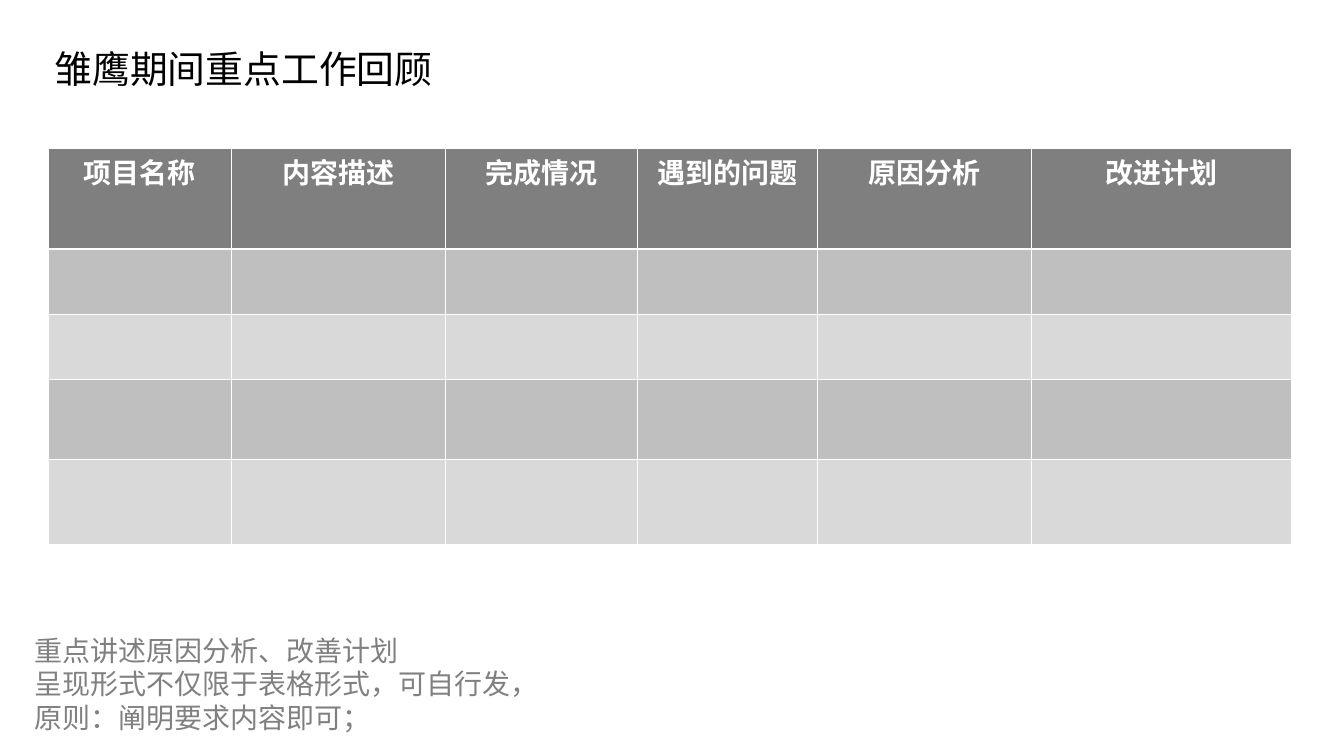
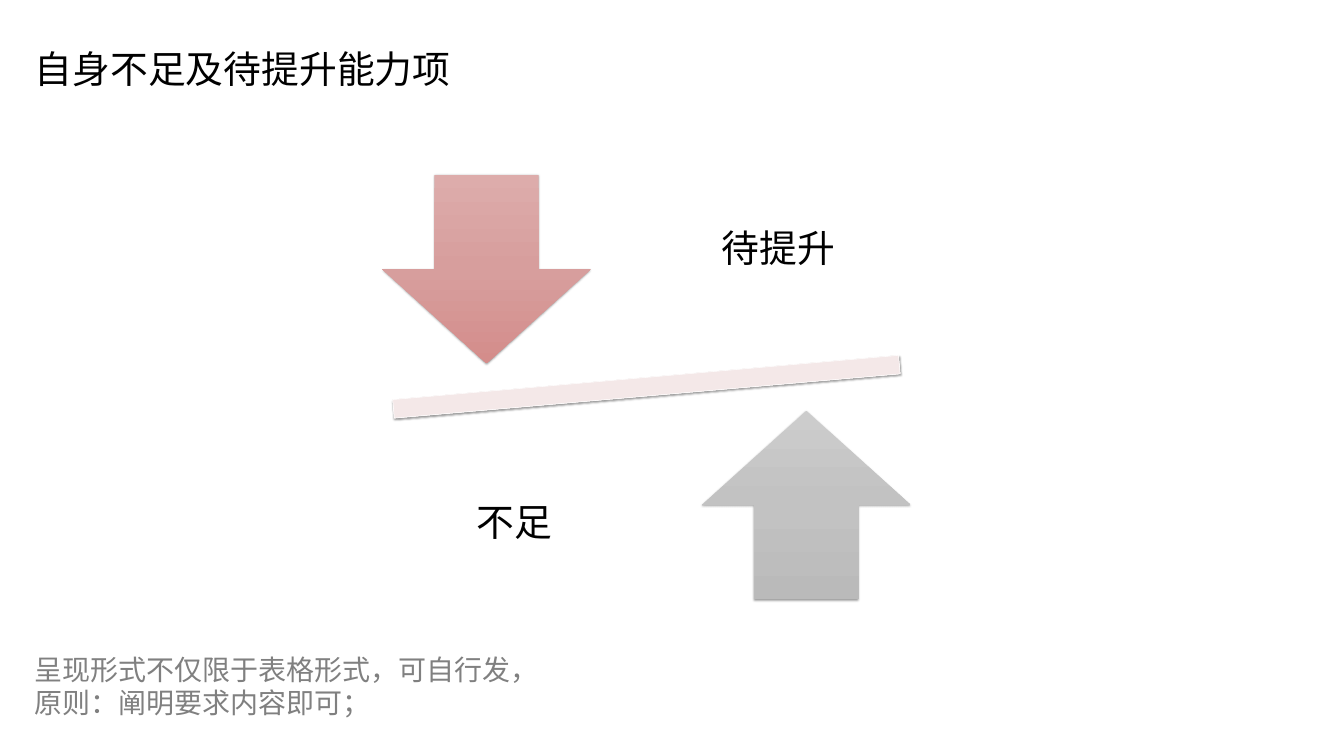
from dataclasses import dataclass

from lxml import etree
from pptx import Presentation
from pptx.dml.color import RGBColor
from pptx.enum.shapes import MSO_SHAPE
from pptx.enum.text import MSO_ANCHOR, MSO_AUTO_SIZE, PP_ALIGN
from pptx.oxml.ns import qn
from pptx.shapes.autoshape import Shape
from pptx.slide import Slide
from pptx.table import _Cell
from pptx.text.text import TextFrame
from pptx.util import Length, Pt

LEFT, CENTER = PP_ALIGN.LEFT, PP_ALIGN.CENTER
TOP, MIDDLE = MSO_ANCHOR.TOP, MSO_ANCHOR.MIDDLE
NO_AUTOFIT = MSO_AUTO_SIZE.NONE
DOWN_ARROW, UP_ARROW = MSO_SHAPE.DOWN_ARROW, MSO_SHAPE.UP_ARROW
MINUS = MSO_SHAPE.MATH_MINUS

WHITE = RGBColor(0xFF, 0xFF, 0xFF)
BLACK = RGBColor(0x00, 0x00, 0x00)
NOTE_GRAY = RGBColor(0x80, 0x80, 0x80)
HEADER_GRAY = RGBColor(0x7F, 0x7F, 0x7F)
BAND_GRAYS = (RGBColor(0xBF, 0xBF, 0xBF), RGBColor(0xD9, 0xD9, 0xD9))
BEAM_PINKS = (RGBColor(0xFA, 0xF4, 0xF3), RGBColor(0xF4, 0xE8, 0xE8),
              RGBColor(0xF3, 0xE5, 0xE5))
ARROW_REDS = (RGBColor(0xDD, 0xAC, 0xAB), RGBColor(0xD7, 0x9E, 0x9D),
              RGBColor(0xD4, 0x8D, 0x8B))
ARROW_GRAYS = (RGBColor(0xCC, 0xCC, 0xCC), RGBColor(0xC2, 0xC2, 0xC2),
               RGBColor(0xBA, 0xBA, 0xBA))

FONT = "Noto Sans CJK SC"
TITLE_SIZE, BODY_SIZE = Pt(54), Pt(40)
THIN, THICK = Pt(0.96), Pt(3)
SIDE_LEFT = Pt(42.5)

HEADERS = ("项目名称", "内容描述", "完成情况", "遇到的问题", "原因分析", "改进计划")
COLUMN_WIDTHS = (261, 306, 274, 258, 306, 371)
ROW_HEIGHTS = (143, 93, 93, 114, 122)
FORM_NOTE = "呈现形式不仅限于表格形式，可自行发，原则：阐明要求内容即可；"


@dataclass(frozen=True)
class Box:
    left: Length
    top: Length
    width: Length
    height: Length

    def edges(self) -> tuple[Length, Length, Length, Length]:
        return self.left, self.top, self.width, self.height


@dataclass(frozen=True)
class TextStyle:
    size: Length
    color: RGBColor
    align: PP_ALIGN = LEFT
    bold: bool = False
    line_spacing: float | Length | None = None


@dataclass(frozen=True)
class BalancePart:
    kind: MSO_SHAPE
    box: Box
    colors: tuple[RGBColor, ...]
    adjustments: tuple[float, ...]
    rotation: float = 0
    outlined: bool = False


TITLE_BOX = Box(SIDE_LEFT, Pt(56), Pt(611), Pt(65))
TABLE_BOX = Box(Pt(69), Pt(212.5), Pt(sum(COLUMN_WIDTHS)), Pt(sum(ROW_HEIGHTS)))
NOTE_STYLE = TextStyle(BODY_SIZE, NOTE_GRAY, line_spacing=Pt(48))
HEADER_STYLE = TextStyle(BODY_SIZE, WHITE, CENTER, bold=True)
LABEL_STYLE = TextStyle(TITLE_SIZE, BLACK, CENTER, line_spacing=0.9)

TITLE_FRAME = {
    "margin_left": Pt(7.2), "margin_right": Pt(7.2),
    "margin_top": Pt(9.5), "margin_bottom": Pt(3.6),
    "vertical_anchor": TOP, "word_wrap": True, "auto_size": NO_AUTOFIT,
}
NOTE_FRAME = TITLE_FRAME | {"margin_top": Pt(8)}
LABEL_FRAME = TITLE_FRAME | {
    "margin_left": Pt(30), "margin_right": Pt(30),
    "margin_top": Pt(30), "margin_bottom": Pt(30), "vertical_anchor": MIDDLE,
}
CELL_FORMAT = {
    "margin_left": Pt(6.5), "margin_right": Pt(6.5),
    "margin_top": Pt(3.6), "margin_bottom": Pt(3.6), "vertical_anchor": TOP,
}

BALANCE_PARTS = (
    BalancePart(MINUS, Box(Pt(430), Pt(496), Pt(987), Pt(113)), BEAM_PINKS,
                (0.235,), rotation=355, outlined=True),
    BalancePart(DOWN_ARROW, Box(Pt(546), Pt(250), Pt(298), Pt(269)),
                ARROW_REDS, (0.5, 0.5)),
    BalancePart(UP_ARROW, Box(Pt(1003), Pt(587), Pt(298), Pt(269)),
                ARROW_GRAYS, (0.5, 0.5)),
)
BALANCE_LABELS = {
    "待提升": Box(Pt(953), Pt(216), Pt(318), Pt(283)),
    "不足": Box(Pt(576), Pt(607), Pt(318), Pt(283)),
}


def apply_format(target: object, values: dict[str, object]) -> None:
    for name, value in values.items():
        setattr(target, name, value)


def write(frame: TextFrame, lines: tuple[str, ...], style: TextStyle) -> None:
    for index, line in enumerate(lines):
        paragraph = frame.paragraphs[0] if index == 0 else frame.add_paragraph()
        apply_format(paragraph, {"alignment": style.align,
                                 "line_spacing": style.line_spacing})
        run = paragraph.add_run()
        run.text = line
        apply_format(run.font, {"size": style.size, "bold": style.bold, "name": FONT})
        run.font.color.rgb = style.color
        etree.SubElement(run.font._element, qn("a:ea"), typeface=FONT)


def add_titled_slide(deck: Presentation, heading: str, align: PP_ALIGN) -> Slide:
    slide = deck.slides.add_slide(deck.slide_layouts.get_by_name("Title Only"))
    title = slide.shapes.title
    title.left, title.top, title.width, title.height = TITLE_BOX.edges()
    apply_format(title.text_frame, TITLE_FRAME)
    style = TextStyle(TITLE_SIZE, BLACK, align, line_spacing=Pt(65))
    write(title.text_frame, (heading,), style)
    return slide


def add_text(slide: Slide, box: Box, lines: tuple[str, ...], style: TextStyle,
             frame_format: dict[str, object]) -> None:
    frame = slide.shapes.add_textbox(*box.edges()).text_frame
    apply_format(frame, frame_format)
    write(frame, lines, style)


def add_color(parent: etree._Element, color: RGBColor) -> etree._Element:
    return etree.SubElement(parent, qn("a:srgbClr"), val=str(color))


def set_borders(cell: _Cell, top: Length, bottom: Length) -> None:
    properties = cell._tc.get_or_add_tcPr()
    for side, width in {"L": THIN, "R": THIN, "T": top, "B": bottom}.items():
        border = etree.SubElement(properties, qn(f"a:ln{side}"), w=str(int(width)))
        add_color(etree.SubElement(border, qn("a:solidFill")), WHITE)


def add_review_table(slide: Slide) -> None:
    table = slide.shapes.add_table(
        len(ROW_HEIGHTS), len(HEADERS), *TABLE_BOX.edges()).table
    for column, width in zip(table.columns, COLUMN_WIDTHS):
        column.width = Pt(width)
    for index, (row, height) in enumerate(zip(table.rows, ROW_HEIGHTS)):
        row.height = Pt(height)
        for cell, header in zip(row.cells, HEADERS):
            apply_format(cell, CELL_FORMAT)
            set_borders(cell, top=THICK if index == 1 else THIN,
                        bottom=THICK if index == 0 else THIN)
            cell.fill.solid()
            if index == 0:
                cell.fill.fore_color.rgb = HEADER_GRAY
                write(cell.text_frame, (header,), HEADER_STYLE)
            else:
                cell.fill.fore_color.rgb = BAND_GRAYS[(index - 1) % 2]


def set_gradient(shape: Shape, colors: tuple[RGBColor, ...]) -> None:
    """Spread the colours evenly from top to bottom."""
    shape.fill.gradient()
    shape.fill.gradient_angle = 270
    stops = shape.element.spPr.find(".//" + qn("a:gsLst"))
    for stop in list(stops):
        stops.remove(stop)
    for index, color in enumerate(colors):
        position = 100000 * index // (len(colors) - 1)
        add_color(etree.SubElement(stops, qn("a:gs"), pos=str(position)), color)


def add_soft_shadow(shape: Shape) -> None:
    shape.shadow.inherit = False
    effects = shape.element.spPr.find(qn("a:effectLst"))
    shadow = etree.SubElement(
        effects, qn("a:outerShdw"), blurRad=str(int(Pt(3.1))),
        dist=str(int(Pt(1.6))), dir="5400000", rotWithShape="0")
    etree.SubElement(add_color(shadow, BLACK), qn("a:alpha"), val="38000")


def add_balance_part(slide: Slide, part: BalancePart) -> None:
    shape = slide.shapes.add_shape(part.kind, *part.box.edges())
    shape.rotation = part.rotation
    for index, value in enumerate(part.adjustments):
        shape.adjustments[index] = value
    set_gradient(shape, part.colors)
    if part.outlined:
        shape.line.color.rgb = WHITE
        shape.line.width = Pt(0.75)
    else:
        shape.line.fill.background()
    add_soft_shadow(shape)


def build_review_slide(deck: Presentation) -> None:
    slide = add_titled_slide(deck, "雏鹰期间重点工作回顾", CENTER)
    add_text(slide, Box(SIDE_LEFT, Pt(896.5), Pt(742), Pt(151)),
             ("重点讲述原因分析、改善计划", FORM_NOTE), NOTE_STYLE, NOTE_FRAME)
    add_review_table(slide)


def build_improvement_slide(deck: Presentation) -> None:
    slide = add_titled_slide(deck, "自身不足及待提升能力项", LEFT)
    add_text(slide, Box(SIDE_LEFT, Pt(924), Pt(749.5), Pt(103)),
             (FORM_NOTE,), NOTE_STYLE, NOTE_FRAME)
    for part in BALANCE_PARTS:
        add_balance_part(slide, part)
    for label, box in BALANCE_LABELS.items():
        add_text(slide, box, (label,), LABEL_STYLE, LABEL_FRAME)


def main() -> None:
    deck = Presentation()
    deck.slide_width, deck.slide_height = Pt(1920), Pt(1080)
    build_review_slide(deck)
    build_improvement_slide(deck)
    deck.save("out.pptx")


if __name__ == "__main__":
    main()
